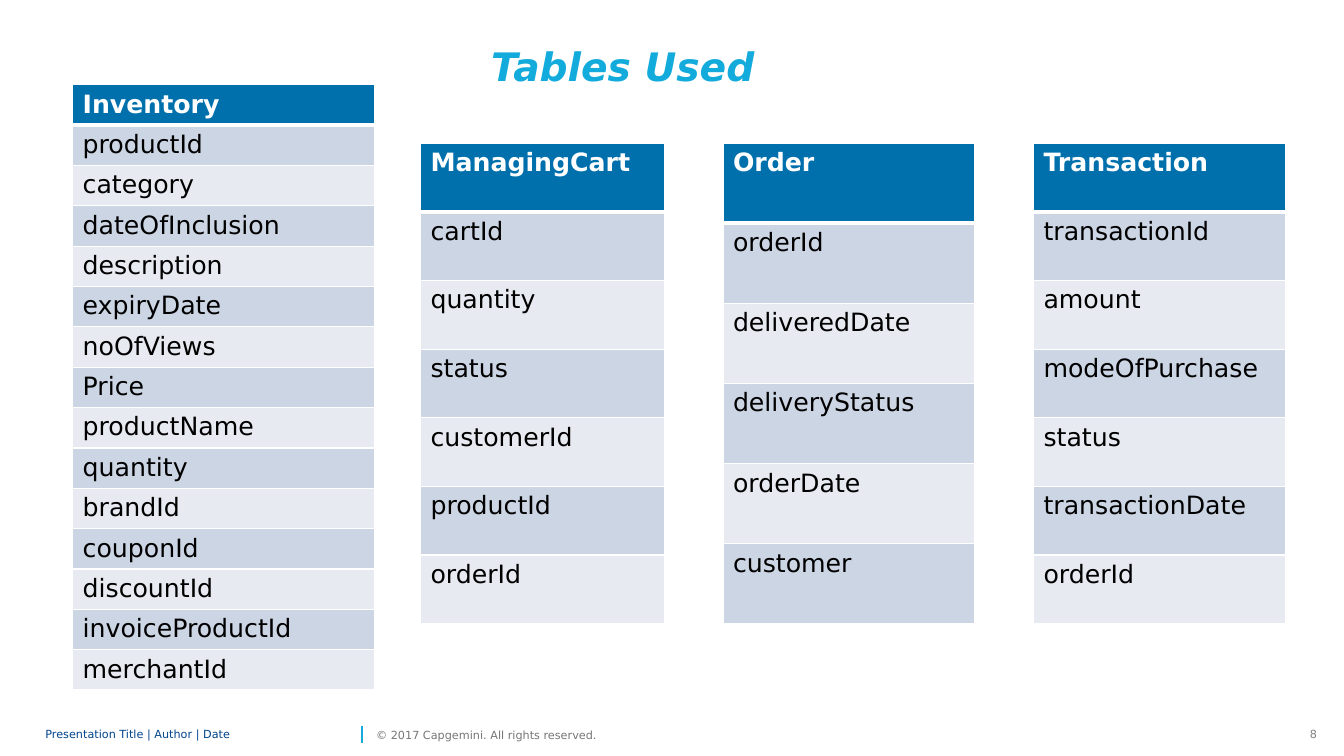
from lxml import etree
from pptx import Presentation
from pptx import util as u
from pptx.dml.color import RGBColor
from pptx.enum import shapes, text
from pptx.oxml.ns import qn

FONT = "DejaVu Sans"
WHITE, HEADER, CYAN = "FFFFFF", "0070AD", "12ABDB"
BANDS = ["CCD5E3", "E7EBF1"]

# Name, box (left, top, width, height) and fields of each table
TABLES = [
    ("Inventory", (0.72, 0.84, 3, 5.55),
     ["productId", "category", "dateOfInclusion", "description", "expiryDate",
      "noOfViews", "Price", "productName", "quantity", "brandId", "couponId",
      "discountId", "invoiceProductId", "merchantId"]),
    ("ManagingCart", (4.17, 1.42, 2.42, 4.77),
     ["cartId", "quantity", "status", "customerId", "productId", "orderId"]),
    ("Order", (7.17, 1.42, 2.5, 4.77),
     ["orderId", "deliveredDate", "deliveryStatus", "orderDate", "customer"]),
    ("Transaction", (10.25, 1.42, 2.5, 4.77),
     ["transactionId", "amount", "modeOfPurchase", "status",
      "transactionDate", "orderId"]),
]


def color(value):
    return RGBColor.from_string(value)


def style_font(para, size, value, bold=False, italic=False):
    font = para.font
    font.name, font.size = FONT, u.Pt(size)
    font.bold, font.italic = bold, italic
    font.color.rgb = color(value)


def add_text(page, box, words, size, value, inset=0, wrap=True,
             anchor=text.MSO_ANCHOR.MIDDLE, align=text.PP_ALIGN.LEFT, **style):
    frame = page.shapes.add_textbox(*map(u.Inches, box)).text_frame
    frame.word_wrap = wrap
    frame.vertical_anchor = anchor
    frame.margin_left = frame.margin_right = u.Inches(inset)
    frame.margin_top = frame.margin_bottom = u.Inches(inset / 2)
    para = frame.paragraphs[0]
    para.text = words
    para.alignment = align
    style_font(para, size, value, **style)
    return para


def set_borders(cell, top, bottom):
    properties = cell._tc.get_or_add_tcPr()
    for side, points in (("L", 1), ("R", 1), ("T", top), ("B", bottom)):
        line = etree.SubElement(properties, qn(f"a:ln{side}"), w=str(u.Pt(points)))
        fill = etree.SubElement(line, qn("a:solidFill"))
        etree.SubElement(fill, qn("a:srgbClr"), val=WHITE)


def add_entity(page, box, name, fields):
    """One-column table: a header and banded field rows filling the box."""
    labels = [name] + fields
    left, top, width, height = map(u.Inches, box)
    table = page.shapes.add_table(len(labels), 1, left, top, width, height).table
    for index, label in enumerate(labels):
        is_header = index == 0
        table.rows[index].height = height // len(labels)
        cell = table.cell(index, 0)
        set_borders(cell, top=3 if index == 1 else 1, bottom=3 if is_header else 1)
        cell.fill.solid()
        cell.fill.fore_color.rgb = color(HEADER if is_header else BANDS[(index - 1) % 2])
        cell.text = label
        style_font(cell.text_frame.paragraphs[0], 18,
                   WHITE if is_header else "000000", bold=is_header)


def add_title(page, box):
    para = add_text(page, box, " Tables Used", 28, CYAN, bold=True, italic=True,
                    anchor=text.MSO_ANCHOR.TOP, align=text.PP_ALIGN.CENTER)
    para.line_spacing = u.Pt(22)
    para.space_after = u.Pt(6)


def add_footer(page, box):
    left, top, width, height = box
    # Presentation details
    para = add_text(page, (left, top, 3.09, height),
                    "Presentation Title | Author | Date", 8, "00458D")
    para.line_spacing = 0.85
    # Divider
    x = u.Inches(left + 3.14)
    divider = page.shapes.add_connector(
        shapes.MSO_CONNECTOR.STRAIGHT,
        x, u.Inches(top + 0.2), x, u.Inches(top + 0.03))
    divider.line.color.rgb = color(CYAN)
    divider.line.width = u.Pt(1)
    etree.SubElement(divider._element.spPr, qn("a:effectLst"))
    # Copyright and page number
    add_text(page, (left + 3.28, top, 2.43, height),
             "© 2017 Capgemini. All rights reserved.", 8, "767676", wrap=False)
    add_text(page, (left + width - 0.27, top, 0.27, height), "8", 8, "808080",
             inset=0.1, wrap=False, anchor=text.MSO_ANCHOR.TOP,
             align=text.PP_ALIGN.RIGHT)


def main():
    deck = Presentation()
    deck.slide_width, deck.slide_height = u.Inches(13.33), u.Inches(7.5)
    page = deck.slides.add_slide(deck.slide_layouts[6])
    add_footer(page, (0.45, 7.17, 12.71, 0.24))
    add_title(page, (3.08, 0.58, 6.06, 0.48))
    for name, box, fields in TABLES:
        add_entity(page, box, name, fields)
    deck.save("out.pptx")


if __name__ == "__main__":
    main()
